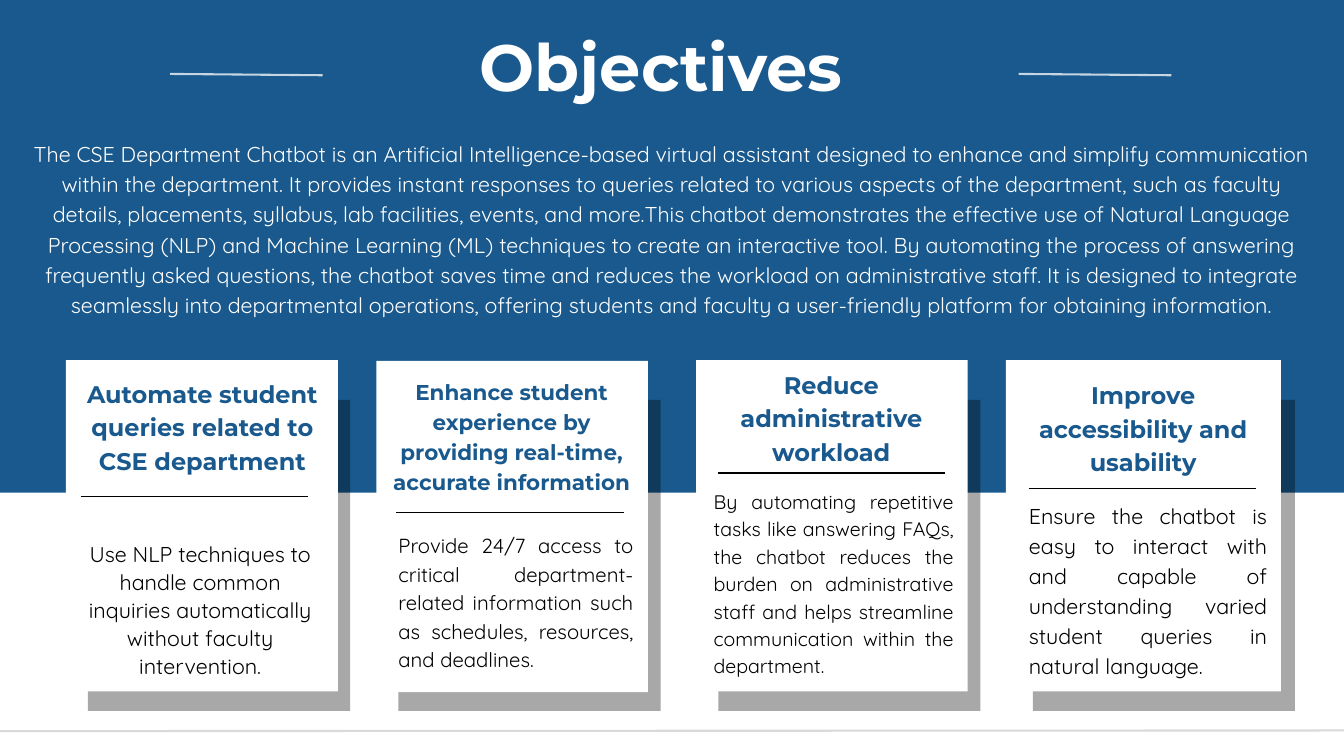
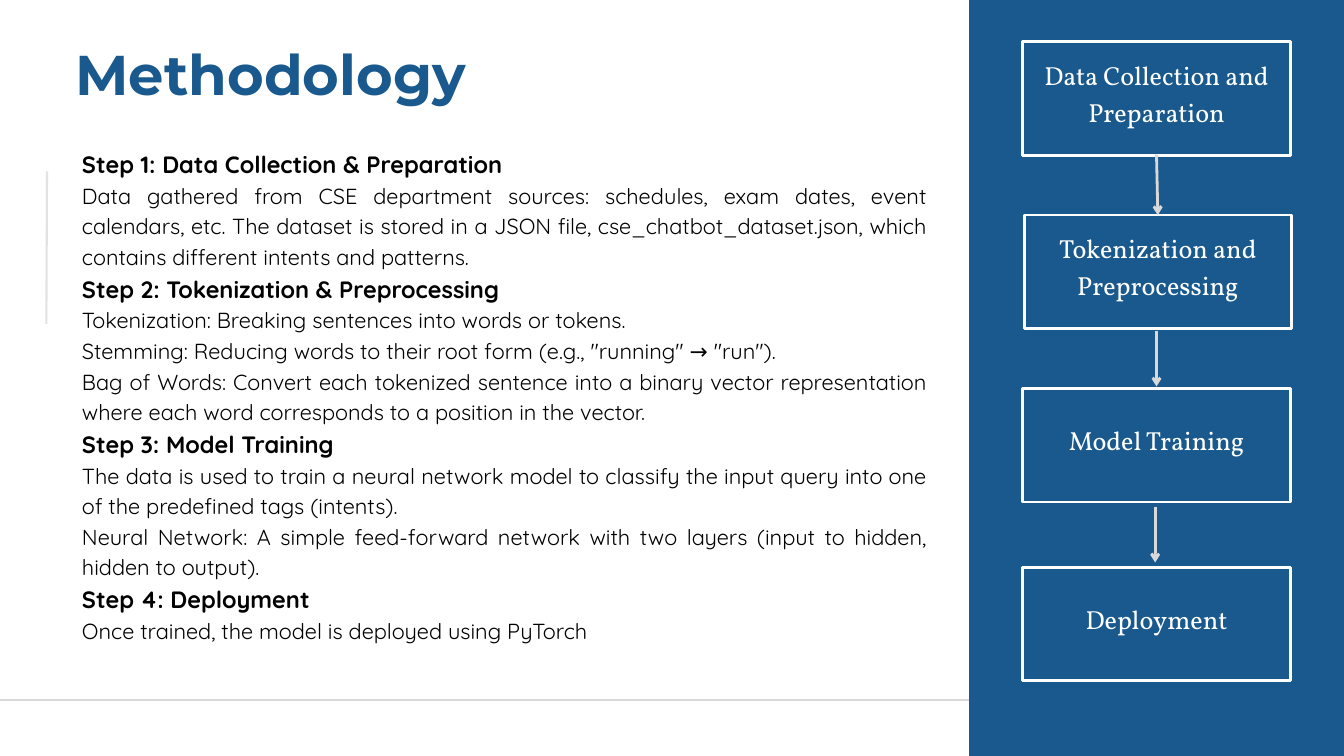
from dataclasses import dataclass

from lxml import etree
from pptx import Presentation
from pptx.dml.color import RGBColor
from pptx.enum.shapes import MSO_CONNECTOR as CONNECTOR, MSO_SHAPE as SHAPE
from pptx.enum.text import MSO_ANCHOR as ANCHOR, MSO_AUTO_SIZE as AUTO_SIZE, PP_ALIGN as ALIGN
from pptx.oxml.ns import qn
from pptx.util import Inches, Pt

BLUE, WHITE, BLACK, GREY = "19598D", "FFFFFF", "000000", "D9D9D9"
HEADING_FONT, BODY_FONT, FLOW_FONT = "Montserrat", "Quicksand", "Vollkorn"
SLIDE_WIDTH, SLIDE_HEIGHT = 20, 11.25
TITLE_ONLY = 5

SHADOW_TOP, SHADOW_WIDTH, SHADOW_HEIGHT = 5.95, 3.9, 4.63
CARD_HEIGHT, RULE_WIDTH = 4.93, 3.38
STAGE_WIDTH, STAGE_HEIGHT = 3.98, 1.69


@dataclass
class Card:
    left: float
    top: float
    width: float
    shadow_left: float
    heading: str
    heading_box: tuple
    heading_size: float
    heading_spacing: float
    rule_start: tuple
    body: str
    body_box: tuple
    body_size: float
    body_spacing: float
    body_align: ALIGN = ALIGN.JUSTIFY


CARDS = [
    Card(0.98, 5.36, 4.05, 1.31,
         "Automate student queries related to CSE department",
         (1.2, 5.57, 3.62, 1.45), 25.7, 36, (1.2, 7.39),
         "Use NLP techniques to handle common inquiries automatically "
         "without faculty intervention.",
         (1.29, 8.02, 3.38, 1.98), 23, 29.9, ALIGN.CENTER),
    Card(5.6, 5.37, 4.04, 5.93,
         "Enhance student experience by providing real-time, accurate information",
         (5.66, 5.57, 3.91, 1.74), 23, 32.2, (5.9, 7.63),
         "Provide 24/7 access to critical department-related information such as "
         "schedules, resources, and deadlines.",
         (5.93, 7.88, 3.5, 2.07), 21.8, 30.5),
    Card(10.36, 5.36, 4.04, 10.69,
         "Reduce administrative workload",
         (10.68, 5.44, 3.38, 1.45), 25.7, 36, (10.69, 7.04),
         "By automating repetitive tasks like answering FAQs, the chatbot reduces "
         "the burden on administrative staff and helps streamline communication "
         "within the department.",
         (10.62, 7.23, 3.57, 2.84), 21, 29.4),
    Card(14.97, 5.36, 4.09, 15.37,
         "Improve accessibility and usability",
         (15.32, 5.59, 3.38, 1.45), 25.7, 36, (15.31, 7.27),
         "Ensure the chatbot is easy to interact with and capable of understanding "
         "varied student queries in natural language.",
         (15.31, 7.42, 3.55, 2.61), 23, 32.2),
]

INTRO = (
    "The CSE Department Chatbot is an Artificial Intelligence-based virtual assistant "
    "designed to enhance and simplify communication within the department. It provides "
    "instant responses to queries related to various aspects of the department, such as "
    "faculty details, placements, syllabus, lab facilities, events, and more.This chatbot "
    "demonstrates the effective use of Natural Language Processing (NLP) and Machine "
    "Learning (ML) techniques to create an interactive tool. By automating the process of "
    "answering frequently asked questions, the chatbot saves time and reduces the workload "
    "on administrative staff. It is designed to integrate seamlessly into departmental "
    "operations, offering students and faculty a user-friendly platform for obtaining "
    "information."
)

STEPS = {
    "Step 1: Data Collection & Preparation": [
        "Data gathered from CSE department sources: schedules, exam dates, event "
        "calendars, etc. The dataset is stored in a JSON file, cse_chatbot_dataset.json, "
        "which contains different intents and patterns.",
    ],
    "Step 2: Tokenization & Preprocessing": [
        "Tokenization: Breaking sentences into words or tokens.",
        'Stemming: Reducing words to their root form (e.g., "running" → "run").',
        "Bag of Words: Convert each tokenized sentence into a binary vector "
        "representation where each word corresponds to a position in the vector.",
    ],
    "Step 3: Model Training": [
        "The data is used to train a neural network model to classify the input query "
        "into one of the predefined tags (intents).",
        "Neural Network: A simple feed-forward network with two layers (input to hidden, "
        "hidden to output).",
    ],
    "Step 4: Deployment": [
        "Once trained, the model is deployed using PyTorch",
    ],
}

STAGES = [
    ("Data Collection and Preparation", 15.22, 0.62),
    ("Tokenization and Preprocessing", 15.24, 3.2),
    ("Model Training", 15.22, 5.78),
    ("Deployment", 15.22, 8.44),
]

FLOW_ARROWS = [
    ((17.21, 2.3), (17.23, 3.2)),
    ((17.21, 4.92), (17.21, 5.75)),
    ((17.19, 7.54), (17.19, 8.37)),
]


def rgb(color):
    return RGBColor.from_string(color)


def inches(values):
    return [Inches(value) for value in values]


def set_opacity(element, percent):
    for color in element.iter(qn("a:srgbClr")):
        etree.SubElement(color, qn("a:alpha"), val=str(percent * 1000))


def style_paragraph(paragraph, font, size, color, spacing, align, bold=False):
    paragraph.alignment = align
    paragraph.line_spacing = Pt(spacing)
    for run in paragraph.runs:
        run.font.name = font
        run.font.size = Pt(size)
        run.font.bold = bold
        run.font.color.rgb = rgb(color)


def prepare_frame(frame, insets=(0, 0, 0, 0), anchor=ANCHOR.TOP):
    """Wrap the text and set the left, top, right and bottom insets."""
    frame.word_wrap = True
    frame.auto_size = AUTO_SIZE.NONE
    frame.vertical_anchor = anchor
    (frame.margin_left, frame.margin_top,
     frame.margin_right, frame.margin_bottom) = inches(insets)


def add_text(slide, box, text, *style, bold=False):
    frame = slide.shapes.add_textbox(*inches(box)).text_frame
    prepare_frame(frame)
    frame.text = text
    style_paragraph(frame.paragraphs[0], *style, bold=bold)


def add_title(slide, text, box, size, color, align):
    """Fill the title placeholder and bring it in front of what is drawn so far."""
    title = slide.shapes.title
    title.left, title.top, title.width, title.height = inches(box)
    prepare_frame(title.text_frame)
    title.text_frame.text = text
    style_paragraph(title.text_frame.paragraphs[0], HEADING_FONT, size, color,
                    size, align, bold=True)
    title.element.getparent().append(title.element)


def add_panel(slide, box, color, opacity=100):
    panel = slide.shapes.add_shape(SHAPE.RECTANGLE, *inches(box))
    panel.shadow.inherit = False
    panel.fill.solid()
    panel.fill.fore_color.rgb = rgb(color)
    panel.line.fill.background()
    if opacity < 100:
        set_opacity(panel.element, opacity)


def add_line(slide, start, end, color, width, opacity=100, arrow=False):
    line = slide.shapes.add_connector(CONNECTOR.STRAIGHT, *inches(start + end))
    line.line.color.rgb = rgb(color)
    line.line.width = Pt(width)
    if opacity < 100:
        set_opacity(line.element, opacity)
    if arrow:
        etree.SubElement(line.line._get_or_add_ln(), qn("a:tailEnd"), type="arrow")
    etree.SubElement(line.element.spPr, qn("a:effectLst"))


def add_card(slide, card):
    add_panel(slide, (card.left, card.top, card.width, CARD_HEIGHT), WHITE)
    add_text(slide, card.heading_box, card.heading, HEADING_FONT, card.heading_size,
             BLUE, card.heading_spacing, ALIGN.CENTER, bold=True)
    rule_left, rule_top = card.rule_start
    add_line(slide, card.rule_start, (rule_left + RULE_WIDTH, rule_top), BLACK, 1.5)
    add_text(slide, card.body_box, card.body, BODY_FONT, card.body_size,
             BLACK, card.body_spacing, card.body_align)


def add_stage(slide, label, left, top):
    stage = slide.shapes.add_shape(
        SHAPE.RECTANGLE, *inches((left, top, STAGE_WIDTH, STAGE_HEIGHT)))
    stage.shadow.inherit = False
    stage.fill.background()
    stage.line.color.rgb = rgb(WHITE)
    stage.line.width = Pt(3)
    prepare_frame(stage.text_frame, (0.06, 0.06, 0.06, 0.29), ANCHOR.MIDDLE)
    stage.text_frame.text = label
    style_paragraph(stage.text_frame.paragraphs[0], FLOW_FONT, 28, WHITE, 39.2,
                    ALIGN.CENTER)


def add_steps(slide, box):
    frame = slide.shapes.add_textbox(*inches(box)).text_frame
    prepare_frame(frame)
    lines = [(text, text == step)
             for step, details in STEPS.items() for text in (step, *details)]
    frame.text = "\n".join(text for text, _ in lines)
    for paragraph, (_, is_step) in zip(frame.paragraphs, lines):
        size, spacing = (25.3, 35.4) if is_step else (23.3, 32.7)
        style_paragraph(paragraph, BODY_FONT, size, BLACK, spacing, ALIGN.JUSTIFY,
                        bold=is_step)


def build_objectives(slide):
    add_panel(slide, (0, 0, SLIDE_WIDTH, 7.33), BLUE)
    add_title(slide, "Objectives", (5.44, 0.59, 8.79, 1.03), 70, WHITE, ALIGN.CENTER)
    for left in (2.53, 15.16):
        add_line(slide, (left, 1.1), (left + 2.27, 1.12), WHITE, 2.25, opacity=75)
    add_text(slide, (0.4, 2.04, 19.21, 2.61), INTRO, BODY_FONT, 23, WHITE, 32.2,
             ALIGN.CENTER)
    for card in CARDS:
        add_panel(slide, (card.shadow_left, SHADOW_TOP, SHADOW_WIDTH, SHADOW_HEIGHT),
                  BLACK, opacity=34)
    for card in CARDS:
        add_card(slide, card)
    add_line(slide, (0, 10.88), (SLIDE_WIDTH, 10.87), GREY, 2.25)


def build_methodology(slide):
    add_line(slide, (0, 10.42), (SLIDE_WIDTH, 10.42), GREY, 2.25)
    add_panel(slide, (14.42, 0, 5.58, SLIDE_HEIGHT), BLUE)
    add_title(slide, "Methodology", (1.12, 0.75, 7.6, 0.88), 60, BLUE, ALIGN.LEFT)
    add_line(slide, (0.69, 4.82), (0.7, 2.55), GREY, 2.25, opacity=75)
    add_steps(slide, (1.22, 2.16, 12.57, 8.26))
    for stage in STAGES:
        add_stage(slide, *stage)
    for start, end in FLOW_ARROWS:
        add_line(slide, start, end, GREY, 3, arrow=True)


def main():
    deck = Presentation()
    deck.slide_width, deck.slide_height = inches((SLIDE_WIDTH, SLIDE_HEIGHT))
    for build in (build_objectives, build_methodology):
        build(deck.slides.add_slide(deck.slide_layouts[TITLE_ONLY]))
    deck.save("out.pptx")


if __name__ == "__main__":
    main()
